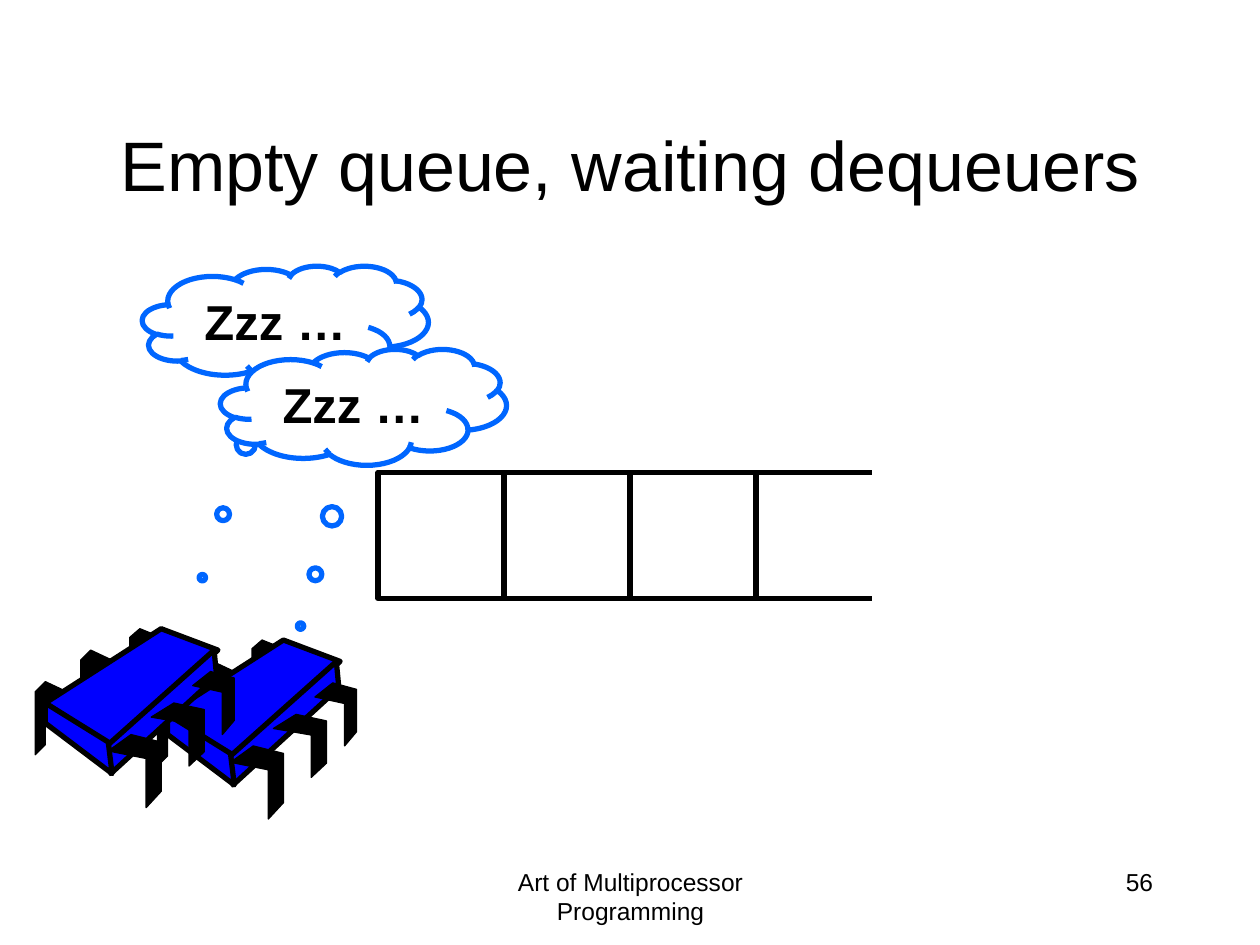
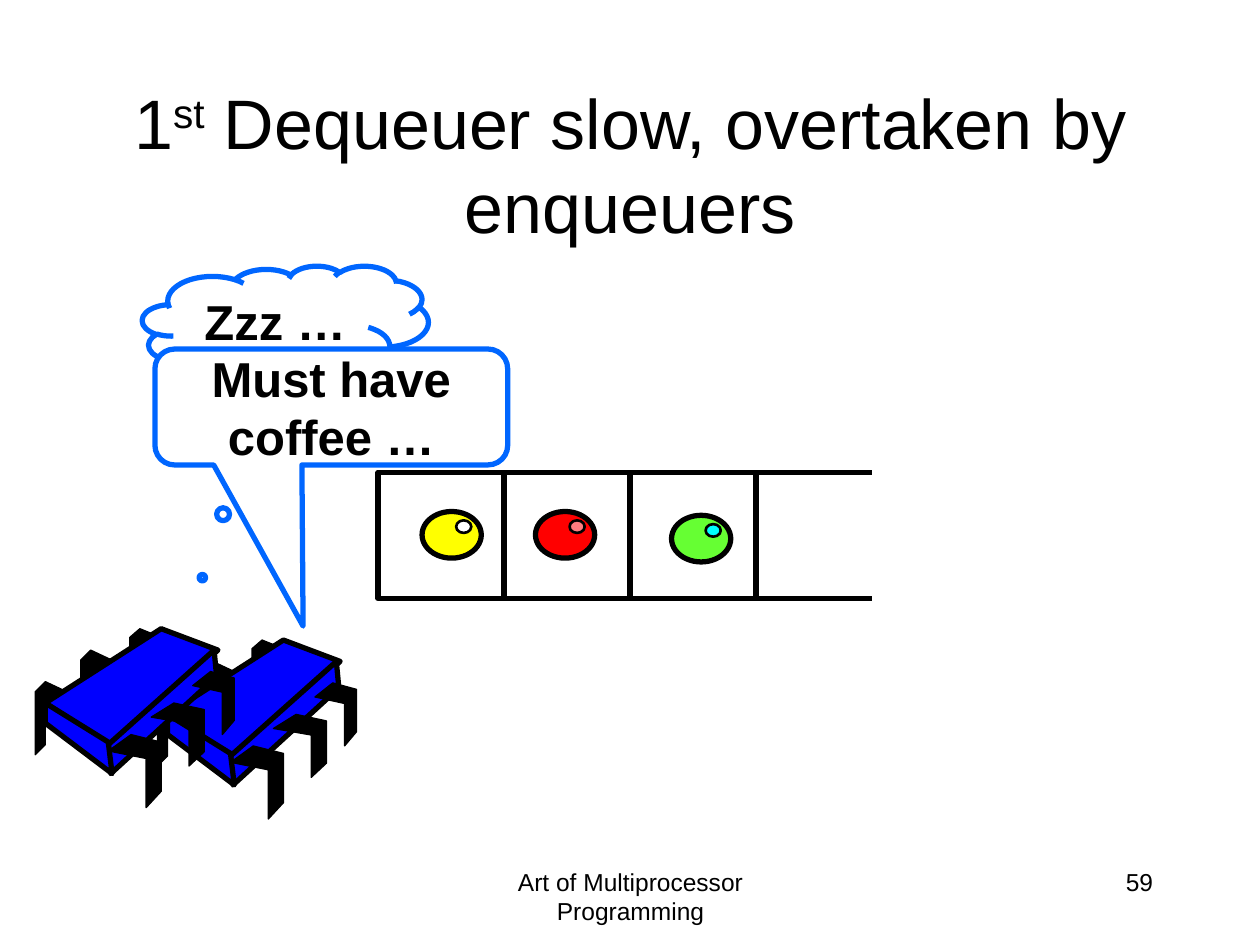
"""Build two slides about a queue whose dequeuers wait for work."""
from pptx import Presentation
from pptx.dml.color import RGBColor as Rgb
from pptx.enum.shapes import MSO_CONNECTOR as Conn, MSO_SHAPE as Kind
from pptx.enum.text import MSO_ANCHOR as Anchor, MSO_AUTO_SIZE as Fit, PP_ALIGN as Align
from pptx.oxml.ns import qn
from pptx.util import Emu, Pt
from lxml import etree

PX = 9144
FONT = "Arial"
HEX = {
    "black": "000000", "white": "FFFFFF", "chip": "0000FF", "bubble": "0066FF",
    "yellow": "FFFF00", "red": "FF0000", "pink": "FF7C80",
    "green": "66FF33", "cyan": "00FFFF",
}
REAR = [(25, 8), (8, 0), (0, 8), (0, 58), (8, 50), (8, 17), (25, 25)]
FORE = [(18, 0), (0, 13), (30, 19), (30, 58), (42, 45), (42, 6)]
FACES = [
    [(100, 0), (8, 59), (60, 93), (145, 17)],
    [(142, 17), (58, 92), (60, 115), (144, 38)],
    [(8, 59), (8, 75), (61, 115), (58, 90)],
]
REAR_AT = [(0, 42, 25, 58), (36, 17, 25, 58), (75, 0, 25, 50)]
FORE_AT = [(58, 84, 42, 58), (92, 59, 42, 50), (125, 34, 33, 50)]


def px(*vals):
    """Turn px lengths into EMU."""
    return [Emu(round(val * PX)) for val in vals]


def tint(name):
    """Look up a colour by name."""
    return Rgb.from_string(HEX[name])


def paint(shape, fill, line, width):
    """Set fill and outline, and drop the shadow."""
    shape.shadow.inherit = False
    if fill:
        shape.fill.solid()
        shape.fill.fore_color.rgb = tint(fill)
    else:
        shape.fill.background()
    shape.line.color.rgb = tint(line)
    shape.line.width = Pt(width)
    return shape


def write(frame, runs, size, align=Align.CENTER, anchor=Anchor.MIDDLE, bold=False):
    """Fill a frame with one paragraph of (text, baseline) runs."""
    frame.word_wrap = True
    frame.auto_size = Fit.NONE
    frame.vertical_anchor = anchor
    para = frame.paragraphs[0]
    para.alignment = align
    for text, base in runs:
        run = para.add_run()
        run.text = text
        font = run.font
        font.name, font.size, font.bold = FONT, Pt(size), bold
        font.color.rgb = tint("black")
        if base:
            run._r.get_or_add_rPr().set("baseline", str(base))


def block(shapes, kind, box, fill=None, line="black", width=3):
    """Add a preset shape."""
    return paint(shapes.add_shape(kind, *px(*box)), fill, line, width)


def note(slide, box, text, align):
    """Add a footer text box."""
    area = slide.shapes.add_textbox(*px(*box))
    write(area.text_frame, [(text, 0)], 14, align, Anchor.TOP)


def rail(slide, x, y, size):
    """Add a level line."""
    line = slide.shapes.add_connector(Conn.STRAIGHT, *px(x, y, x + size, y))
    line.line.color.rgb = tint("black")
    line.line.width = Pt(3)
    etree.SubElement(line._element.spPr, qn("a:effectLst"))


def queue(slide):
    """Draw three cells and the open end."""
    for col in range(3):
        block(slide.shapes, Kind.RECTANGLE, (300 + 100 * col, 375, 100, 100))
    for y in (375, 475):
        rail(slide, 592, y, 100)


def patch(shapes, pts, x, y, fill, width):
    """Add a closed outline moved to x, y."""
    spots = [px(x + dx, y + dy) for dx, dy in pts]
    pen = shapes.build_freeform(*spots[0])
    pen.add_line_segments(spots[1:], close=True)
    paint(pen.convert_to_shape(), fill, "black", width)


def legs(shapes, pts, spots, x, y):
    """Scale one leg outline into each spot."""
    wide = max(dx for dx, _ in pts)
    tall = max(dy for _, dy in pts)
    for left, top, w, h in spots:
        leg = [(dx * w / wide, dy * h / tall) for dx, dy in pts]
        patch(shapes, leg, x + left, y + top, "black", 0.75)


def chip(slide, x, y):
    """Draw a processor with its legs."""
    shapes = slide.shapes.add_group_shape().shapes
    legs(shapes, REAR, REAR_AT, x, y)
    for face in FACES:
        patch(shapes, face, x, y, "chip", 3)
    legs(shapes, FORE, FORE_AT, x, y)


def ball(slide, x, y, fill, glint):
    """Draw a queued item with its highlight."""
    shapes = slide.shapes.add_group_shape().shapes
    block(shapes, Kind.OVAL, (x, y, 47, 37), fill)
    block(shapes, Kind.OVAL, (x + 27, y + 7, 12, 10), glint, width=1.5)


def bubble(slide, kind, box, text, tail, fill=None):
    """Draw a callout with its tail."""
    shape = block(slide.shapes, kind, box, fill, "bubble")
    for num, val in enumerate(tail):
        shape.adjustments[num] = val
    write(shape.text_frame, [(text, 0)], 28, bold=True)


def scene(deck, title, page):
    """Add a slide with all the shared parts."""
    slide = deck.slides.add_slide(deck.slide_layouts[5])
    head = slide.shapes.title
    head.left, head.top, head.width, head.height = px(75, 67, 850, 125)
    write(head.text_frame, title, 40)
    note(slide, (342, 683, 317, 50), "Art of Multiprocessor Programming", Align.CENTER)
    note(slide, (717, 683, 208, 50), page, Align.RIGHT)
    queue(slide)
    chip(slide, 125, 508)
    chip(slide, 28, 499)
    bubble(slide, Kind.CLOUD_CALLOUT, (113, 211, 227, 92), "Zzz …", (-0.29, 2.19))
    return slide


def main():
    """Build and save the deck."""
    deck = Presentation()
    deck.slide_width, deck.slide_height = px(1000, 750)

    idle = scene(deck, [("Empty queue, waiting dequeuers", 0)], "56")
    bubble(idle, Kind.CLOUD_CALLOUT, (175, 277, 227, 92), "Zzz …",
           (-0.22, 1.89), "white")

    title = [("1", 0), ("st", 30000), (" Dequeuer slow, overtaken by enqueuers", 0)]
    slow = scene(deck, title, "59")
    bubble(slow, Kind.ROUNDED_RECTANGULAR_CALLOUT, (123, 277, 280, 92),
           "Must have coffee …", (-0.08, 1.89, 0.17), "white")
    ball(slow, 335, 406, "yellow", "white")
    ball(slow, 533, 409, "green", "cyan")
    ball(slow, 425, 406, "red", "pink")

    deck.save("out.pptx")


if __name__ == "__main__":
    main()
